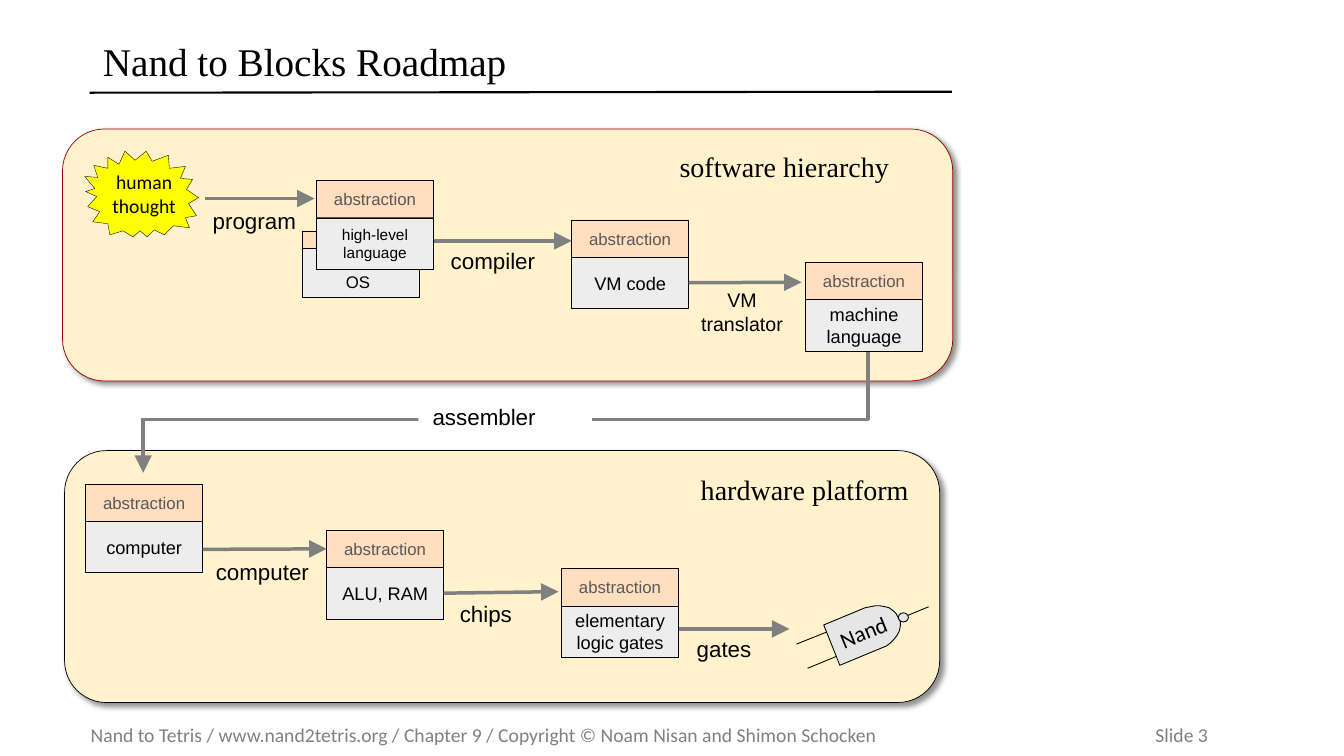
"""Build the roadmap slide from software hierarchy to hardware platform."""
import lxml.etree
import pptx
import pptx.dml.color
import pptx.enum.shapes
import pptx.enum.text
import pptx.oxml.ns
import pptx.util

Inches = pptx.util.Inches
Pt = pptx.util.Pt
RGBColor = pptx.dml.color.RGBColor
SHAPE = pptx.enum.shapes.MSO_SHAPE
ALIGN = pptx.enum.text.PP_ALIGN
ANCHOR = pptx.enum.text.MSO_ANCHOR
qn = pptx.oxml.ns.qn

BLACK = RGBColor(0x00, 0x00, 0x00)
WHITE = RGBColor(0xFF, 0xFF, 0xFF)
GRAY = RGBColor(0x80, 0x80, 0x80)
DARK_GRAY = RGBColor(0x59, 0x59, 0x59)
CREAM = RGBColor(0xFF, 0xF2, 0xCC)
DARK_RED = RGBColor(0x9B, 0x00, 0x01)
PEACH = RGBColor(0xFF, 0xDF, 0xBF)
PALE_GRAY = RGBColor(0xED, 0xED, 0xED)
GATE_GRAY = RGBColor(0xE6, 0xE6, 0xE6)
YELLOW = RGBColor(0xFF, 0xFF, 0x00)


def paint(shape, fill, outline, width=0.25):
    shape.shadow.inherit = False
    if fill is None:
        shape.fill.background()
    else:
        shape.fill.solid()
        shape.fill.fore_color.rgb = fill
    if outline is None:
        shape.line.fill.background()
    else:
        shape.line.color.rgb = outline
        shape.line.width = Pt(width)
    return shape


def write(shape, text, size, font="Arial", color=BLACK, align=ALIGN.LEFT,
          anchor=ANCHOR.TOP, wrap=True, left_inset=0):
    frame = shape.text_frame
    frame.text = text
    frame.word_wrap = wrap
    frame.vertical_anchor = anchor
    frame.margin_left = Inches(left_inset)
    frame.margin_right = frame.margin_top = frame.margin_bottom = 0
    paragraph = frame.paragraphs[0]
    paragraph.alignment = align
    for run in paragraph.runs:
        run.font.size = Pt(size)
        run.font.name = font
        run.font.color.rgb = color


presentation = pptx.Presentation()
presentation.slide_width = Inches(13.33)
presentation.slide_height = Inches(7.5)
slide = presentation.slides.add_slide(presentation.slide_layouts[5])
shapes = slide.shapes

title = shapes.title
title.left, title.top, title.width, title.height = map(Inches, (0.92, 0.32, 8.53, 0.63))
write(title, "Nand to Blocks Roadmap", 28, "Times New Roman",
      anchor=ANCHOR.MIDDLE, left_inset=0.1)
title.text_frame.paragraphs[0].line_spacing = 0.9

footer = shapes.add_textbox(*map(Inches, (0.9, 7.12, 12.25, 0.34)))
write(footer, "Nand to Tetris / www.nand2tetris.org / Chapter 9 / "
      "Copyright © Noam Nisan and Shimon Schocken\tSlide 3",
      14, "Calibri", GRAY, anchor=ANCHOR.MIDDLE)
footer_properties = footer.text_frame.paragraphs[0]._p.get_or_add_pPr()
tab_list = lxml.etree.SubElement(footer_properties, qn("a:tabLst"))
lxml.etree.SubElement(tab_list, qn("a:tab"), pos=str(Inches(10.56)), algn="l")

panels = [
    (0.64, 4.47, 8.68, BLACK),
    (0.62, 1.28, 8.83, DARK_RED),
]
for left, top, width, outline in panels:
    panel = shapes.add_shape(SHAPE.ROUNDED_RECTANGLE,
                             *map(Inches, (left, top, width, 2.5)))
    paint(panel, CREAM, outline, 0.5)
    effects = panel._element.spPr.find(qn("a:effectLst"))
    shadow = lxml.etree.SubElement(effects, qn("a:outerShdw"), blurRad=str(Pt(4)),
                                   dist=str(Pt(3)), dir="2700000", algn="tl",
                                   rotWithShape="0")
    shadow_color = lxml.etree.SubElement(shadow, qn("a:srgbClr"), val="000000")
    lxml.etree.SubElement(shadow_color, qn("a:alpha"), val="43000")

for top, height, fill in [(2.29, 0.18, PEACH), (2.46, 0.49, PALE_GRAY)]:
    paint(shapes.add_shape(SHAPE.RECTANGLE, *map(Inches, (3, top, 1.16, height))),
          fill, BLACK)

layers = [
    ("high-level\vlanguage", 3.14, 1.79, 11),
    ("VM code", 5.67, 2.18, 13),
    ("machine language", 7.99, 2.6, 13),
    ("computer", 0.85, 4.8, 13),
    ("ALU, RAM", 3.24, 5.26, 13),
    ("elementary logic gates", 5.57, 5.64, 13),
]
abstractions = {}
implementations = {}
for name, left, top, size in layers:
    abstraction = shapes.add_shape(SHAPE.RECTANGLE, *map(Inches, (left, top, 1.16, 0.37)))
    implementation = shapes.add_shape(SHAPE.RECTANGLE,
                                      *map(Inches, (left, top + 0.37, 1.16, 0.51)))
    write(paint(abstraction, PEACH, BLACK), "abstraction", 12, color=DARK_GRAY,
          align=ALIGN.CENTER, anchor=ANCHOR.MIDDLE)
    write(paint(implementation, PALE_GRAY, BLACK), name, size,
          align=ALIGN.CENTER, anchor=ANCHOR.MIDDLE)
    abstractions[name] = abstraction
    implementations[name] = implementation

outlines = [
    (YELLOW, BLACK, 0.25, True, [
        (0.94, 1.87), (0.85, 1.9), (0.96, 1.95), (0.87, 2.05), (0.99, 2.1),
        (0.92, 2.2), (1.07, 2.22), (1.09, 2.33), (1.22, 2.29), (1.32, 2.35),
        (1.39, 2.29), (1.46, 2.35), (1.53, 2.28), (1.63, 2.33), (1.72, 2.24),
        (1.88, 2.26), (1.84, 2.16), (1.95, 2.14), (1.87, 2.02), (1.97, 1.96),
        (1.85, 1.88), (1.91, 1.78), (1.79, 1.77), (1.84, 1.65), (1.68, 1.67),
        (1.67, 1.54), (1.51, 1.6), (1.45, 1.5), (1.34, 1.59), (1.24, 1.5),
        (1.18, 1.63), (1.07, 1.56), (1.07, 1.67), (0.93, 1.64), (0.97, 1.76),
        (0.84, 1.75)]),
    (None, GRAY, 2.5, False, [(1.42, 4.65), (1.42, 4.16), (8.61, 4.16), (8.61, 3.49)]),
    (GATE_GRAY, BLACK, 0.63, True, [
        (8.74, 6.43), (8.33, 6.6), (8.17, 6.2), (8.58, 6.03), (8.63, 6.02),
        (8.68, 6.01), (8.73, 6.01), (8.78, 6.02), (8.82, 6.03), (8.86, 6.06),
        (8.89, 6.09), (8.91, 6.13), (8.93, 6.17), (8.93, 6.21), (8.92, 6.26),
        (8.9, 6.3), (8.87, 6.34), (8.83, 6.38), (8.79, 6.41)]),
]
for fill, outline, width, closed, corners in outlines:
    points = [(Inches(x), Inches(y)) for x, y in corners]
    builder = shapes.build_freeform(*points[0])
    builder.add_line_segments(points[1:], close=closed)
    paint(builder.convert_to_shape(), fill, outline, width)

lines = [
    (0.89, 0.92, 9.44, 0.91, BLACK, 1.5, None, None),
    (7.9, 6.39, 8.2, 6.27, BLACK, 0.63, None, None),
    (8.01, 6.63, 8.3, 6.51, BLACK, 0.63, None, None),
    (9.21, 6.02, 8.92, 6.14, BLACK, 0.63, None, None),
    (2.03, 1.97, 3.12, 1.97, GRAY, 2.5, None, None),
    (4.3, 2.39, 5.67, 2.39, GRAY, 2.5, None, None),
    (6.83, 2.8, 7.95, 2.8, GRAY, 2.5, "VM code", None),
    (1.42, 4.15, 1.42, 4.69, GRAY, 2.5, None, None),
    (2.01, 5.45, 3.24, 5.45, GRAY, 2.5, None, "ALU, RAM"),
    (4.4, 5.88, 5.54, 5.87, GRAY, 2.5, "ALU, RAM", None),
    (6.73, 6.24, 7.83, 6.24, GRAY, 2.5, None, None),
]
for x1, y1, x2, y2, color, width, source, target in lines:
    line = shapes.add_connector(pptx.enum.shapes.MSO_CONNECTOR.STRAIGHT,
                                *map(Inches, (x1, y1, x2, y2)))
    line.line.color.rgb = color
    line.line.width = Pt(width)
    properties = line._element.spPr
    if color == GRAY:
        lxml.etree.SubElement(properties.find(qn("a:ln")), qn("a:tailEnd"),
                              type="triangle", w="lg", len="lg")
    lxml.etree.SubElement(properties, qn("a:effectLst"))
    if source:
        line.begin_connect(implementations[source], 3)
    if target:
        line.end_connect(abstractions[target], 1)

bubble = shapes.add_shape(SHAPE.OVAL, *map(Inches, (8.91, 6.08, 0.1, 0.09)))
paint(bubble, GATE_GRAY, BLACK, 0.63)
gate_label = shapes.add_shape(SHAPE.RECTANGLE, *map(Inches, (8.3, 6.13, 0.52, 0.17)))
gate_label.rotation = 337.6
write(paint(gate_label, GATE_GRAY, None), "Nand", 16, "Calibri", wrap=False)

assembler = shapes.add_shape(SHAPE.RECTANGLE, *map(Inches, (4.15, 4, 1.72, 0.27)))
write(paint(assembler, WHITE, None), "assembler", 16, left_inset=0.14)

labels = [
    ("software hierarchy", 6.74, 1.48, 2.09, 0.34, 20, "Times New Roman", ALIGN.LEFT),
    ("hardware platform", 6.95, 4.69, 2.08, 0.34, 20, "Times New Roman", ALIGN.LEFT),
    ("human\vthought", 1, 1.69, 0.86, 0.48, 14, "Calibri", ALIGN.CENTER),
    ("OS", 3.43, 2.7, 0.45, 0.2, 12, "Arial", ALIGN.LEFT),
    ("program", 2.11, 2.06, 0.88, 0.27, 16, "Arial", ALIGN.LEFT),
    ("compiler", 4.47, 2.45, 0.88, 0.27, 16, "Arial", ALIGN.LEFT),
    ("VM translator", 6.84, 2.86, 1.04, 0.47, 14, "Arial", ALIGN.CENTER),
    ("computer", 2.14, 5.54, 1.02, 0.27, 16, "Arial", ALIGN.LEFT),
    ("chips", 4.56, 5.95, 0.88, 0.27, 16, "Arial", ALIGN.LEFT),
    ("gates", 6.91, 6.3, 0.88, 0.27, 16, "Arial", ALIGN.LEFT),
]
for text, left, top, width, height, size, font, align in labels:
    label = shapes.add_textbox(*map(Inches, (left, top, width, height)))
    write(label, text, size, font, align=align)

presentation.save("out.pptx")
